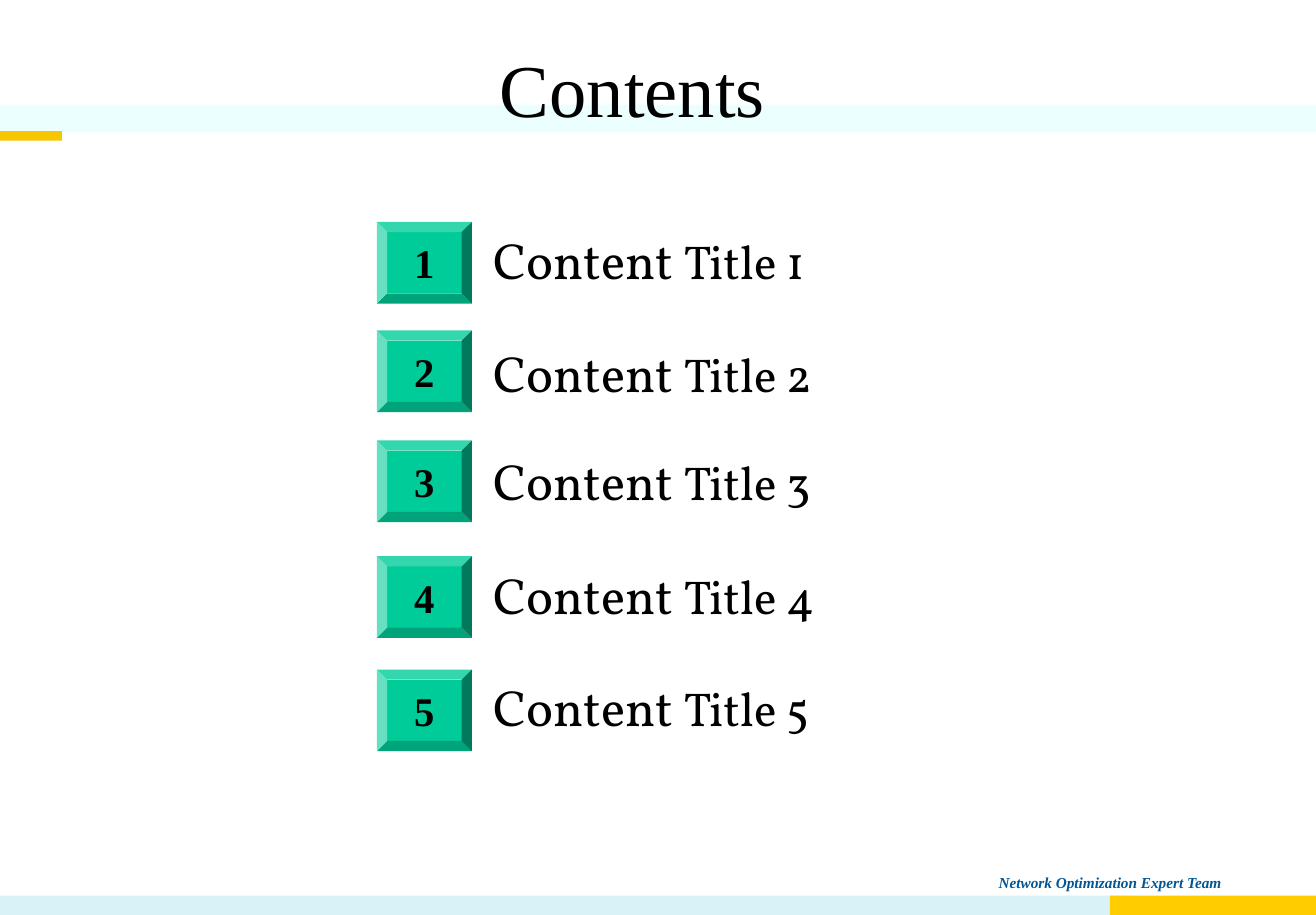
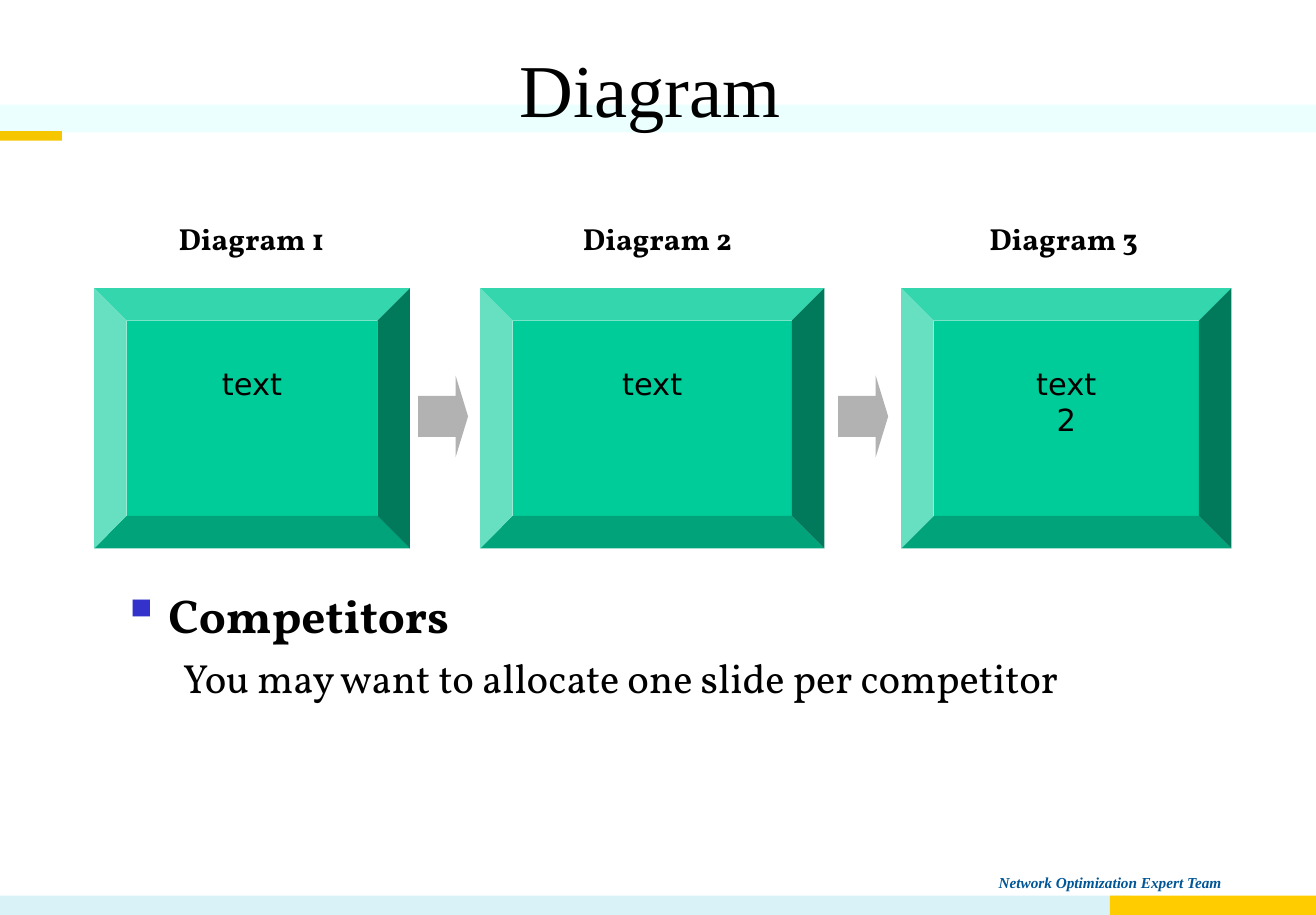
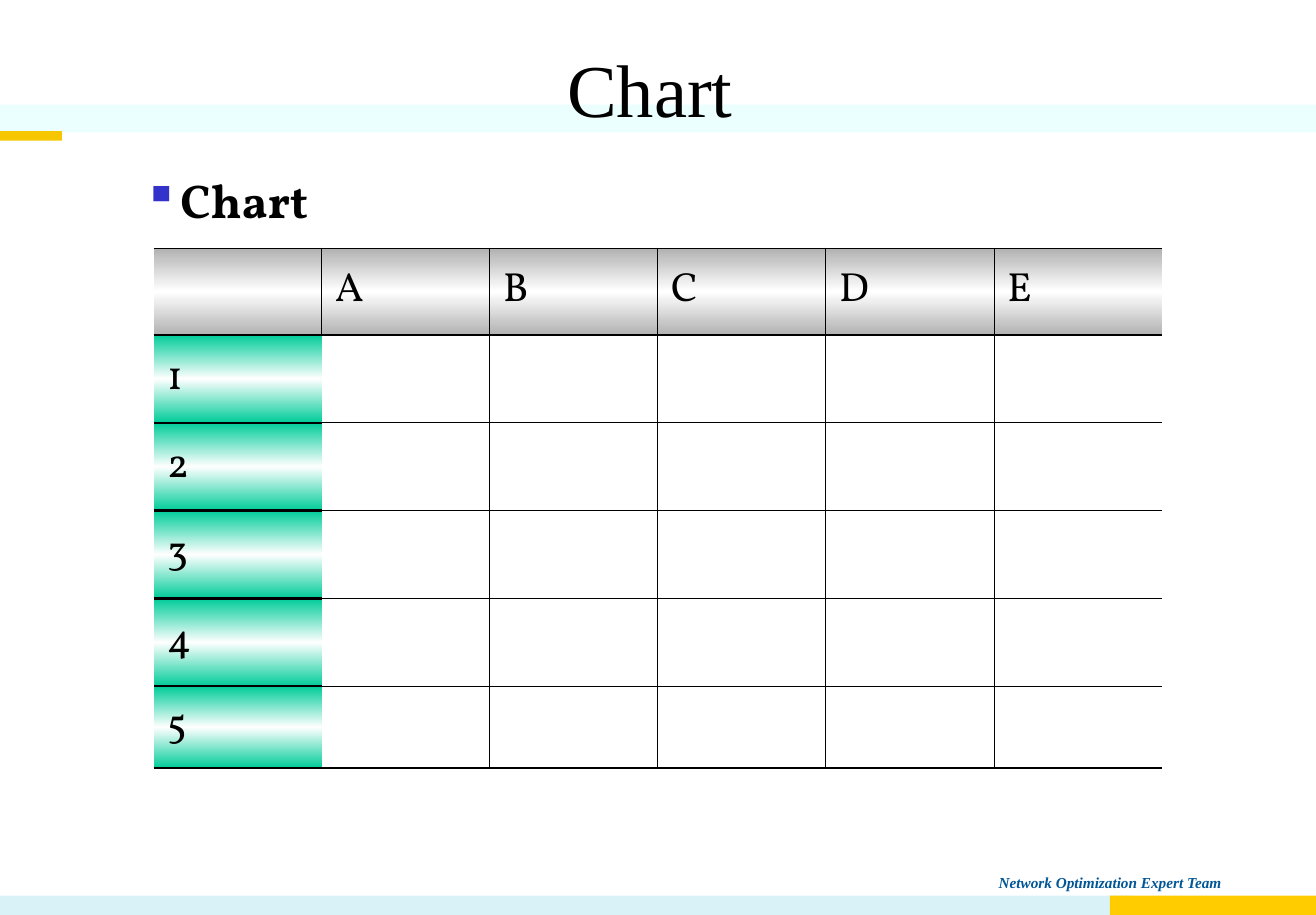
from lxml.etree import SubElement as Sub
from pptx import Presentation as Deck
from pptx.dml.color import RGBColor as Rgb
from pptx.enum.shapes import MSO_SHAPE as Kind
from pptx.enum.text import MSO_ANCHOR as Anchor, PP_ALIGN as Align
from pptx.oxml.ns import qn
from pptx.util import Cm, Pt

HUES = {
    "ink": "000000", "band": "EBFFFF", "foot": "D9F2F7", "gold": "FFCC00",
    "tab": "F6C700", "navy": "005696", "green": "00CC99", "gray": "B2B2B2",
    "white": "FFFFFF", "dot": "3333CC",
}
SERIF, BODY, SANS = "Times New Roman", "Vollkorn", "DejaVu Sans"
WIDE, HIGH = 27.41, 19.05


class Pen:
    """Hold the deck style and draw each kind of element on the current slide."""

    def __init__(self):
        self.deck = Deck()
        self.deck.slide_width, self.deck.slide_height = Cm(WIDE), Cm(HIGH)
        self.slide = None

    def page(self, title, left=1.04, width=25):
        self.slide = self.deck.slides.add_slide(self.deck.slide_layouts[6])
        foot = self.text(20.55, 18.06, 6.86, 0.64)
        self.label(foot.paragraphs[0], "Network Optimization Expert Team", 9,
                   SERIF, bold=True, italic=True, hue="navy")
        self.shape(Kind.RECTANGLE, 0, 2.18, WIDE, 0.58, "band")
        self.shape(Kind.RECTANGLE, 0, 18.65, 23.55, 0.4, "foot")
        self.shape(Kind.RECTANGLE, 23.12, 18.65, 4.29, 0.4, "gold")
        self.shape(Kind.RECTANGLE, 0, 2.73, 1.29, 0.2, "tab")
        head = self.text(left, 0.76, width, 1.7)
        self.label(head.paragraphs[0], title, 44, SERIF, align=Align.CENTER)

    def text(self, left, top, width, height, anchor=Anchor.TOP):
        box = self.slide.shapes.add_textbox(Cm(left), Cm(top), Cm(width), Cm(height))
        frame = box.text_frame
        frame.word_wrap = True
        frame.vertical_anchor = anchor
        return frame

    def shape(self, kind, left, top, width, height, hue):
        item = self.slide.shapes.add_shape(kind, Cm(left), Cm(top), Cm(width), Cm(height))
        item.shadow.inherit = False
        item.fill.solid()
        item.fill.fore_color.rgb = Rgb.from_string(HUES[hue])
        item.line.fill.background()
        return item

    def bevel(self, left, top, width, height):
        return self.shape(Kind.BEVEL, left, top, width, height, "green").text_frame

    def arrow(self, left, top, width, height):
        item = self.shape(Kind.RIGHT_ARROW, left, top, width, height, "gray")
        item.adjustments[0], item.adjustments[1] = 0.5, 0.25

    def label(self, para, words, size, face, bold=False, italic=False,
              hue="ink", align=Align.LEFT):
        para.alignment = align
        font = para.font
        font.name, font.size, font.bold, font.italic = face, Pt(size), bold, italic
        font.color.rgb = Rgb.from_string(HUES[hue])
        para.add_run().text = words

    def bullet(self, para, indent, scale=100):
        props = para._p.get_or_add_pPr()
        props.set("marL", str(Cm(indent)))
        props.set("indent", str(-Cm(indent)))
        self.paint(Sub(props, qn("a:buClr")), "dot")
        Sub(props, qn("a:buSzPct"), val=str(scale * 1000))
        Sub(props, qn("a:buChar"), char="▪")

    def paint(self, node, hue):
        Sub(node, qn("a:srgbClr"), val=HUES[hue])

    def edge(self, cell, side, width):
        props = cell._tc.get_or_add_tcPr()
        line = Sub(props, qn("a:ln" + side), w=str(Pt(width)))
        if width:
            self.paint(Sub(line, qn("a:solidFill")), "ink")
        else:
            Sub(line, qn("a:noFill"))

    def blend(self, cell, hue):
        fill = Sub(cell._tc.get_or_add_tcPr(), qn("a:gradFill"), rotWithShape="1")
        stops = Sub(fill, qn("a:gsLst"))
        for pos, tone in ((0, hue), (50, "white"), (100, hue)):
            self.paint(Sub(stops, qn("a:gs"), pos=str(pos * 1000)), tone)
        Sub(fill, qn("a:lin"), ang="5400000", scaled="0")

    def grid(self, left, top, wide, highs, heads, sides):
        rows, cols = len(highs), len(heads)
        table = self.slide.shapes.add_table(
            rows, cols, Cm(left), Cm(top), Cm(wide * cols), Cm(sum(highs))).table
        table.first_row = table.horz_banding = False
        for col in table.columns:
            col.width = Cm(wide)
        for row, high in zip(table.rows, highs):
            row.height = Cm(high)

        def upright(r, c):
            return 0 if c in (0, cols) or (c == 1 and r) else 0.45

        def level(r, c):
            if r in (0, 1, rows):
                return 1.08
            return 0.45 if c else 1.47

        for r in range(rows):
            for c in range(cols):
                cell = table.cell(r, c)
                cell.margin_left = cell.margin_right = Cm(0.28)
                cell.vertical_anchor = Anchor.MIDDLE
                self.edge(cell, "L", upright(r, c))
                self.edge(cell, "R", upright(r, c + 1))
                self.edge(cell, "T", level(r, c))
                self.edge(cell, "B", level(r + 1, c))
                if r and c:
                    cell.fill.background()
                    continue
                self.blend(cell, "green" if r else "gray")
                words = sides[r - 1] if r else heads[c]
                if words:
                    self.label(cell.text_frame.paragraphs[0], words, 24, BODY)


def contents(pen):
    pen.page("Contents", 1.4, 23.55)
    tops = ((4.62, 4.67), (6.88, 7.01), (9.17, 9.27), (11.58, 11.63), (13.94, 13.97))
    for num, (key, top) in enumerate(tops, 1):
        frame = pen.bevel(7.85, key, 1.98, 1.7)
        pen.label(frame.paragraphs[0], str(num), 24, SERIF, bold=True, align=Align.CENTER)
        para = pen.text(10.03, top, 16, 1.47, Anchor.MIDDLE).paragraphs[0]
        pen.label(para, "Content ", 28, BODY)
        para.runs[0].font.size = Pt(30)
        para.add_run().text = f"Title {num}"


def diagram(pen):
    pen.page("Diagram")
    boxes = ((1.96, 6.58, ["text"]), (10, 7.17, ["text"]), (18.77, 6.88, ["text", "2"]))
    for num, (left, width, lines) in enumerate(boxes):
        name = pen.text(1.35 + 8.46 * num, 4.45, 7.77, 1.02)
        pen.label(name.paragraphs[0], f"Diagram {num + 1}", 18, BODY,
                  bold=True, align=Align.CENTER)
        frame = pen.bevel(left, 6, width, 5.42)
        frame.vertical_anchor = Anchor.TOP
        frame.margin_top = Cm(0.92)
        for i, line in enumerate(lines):
            para = frame.add_paragraph() if i else frame.paragraphs[0]
            pen.label(para, line, 18, SANS, align=Align.CENTER)
    for left in (8.71, 17.46):
        pen.arrow(left, 7.82, 1.04, 1.7)
    frame = pen.text(2.29, 12.07, 23.06, 5.28)
    head = frame.paragraphs[0]
    pen.bullet(head, 0.97, 110)
    pen.label(head, "Competitors", 28, BODY, bold=True)
    note = frame.add_paragraph()
    note._p.get_or_add_pPr().set("marL", str(Cm(1.27)))
    note.space_before = Pt(6)
    pen.label(note, "You may want to allocate one slide per competitor", 24, BODY)


def chart(pen):
    pen.page("Chart")
    head = pen.text(2.74, 3.43, 10.74, 1.45).paragraphs[0]
    pen.bullet(head, 0.77)
    pen.label(head, "Chart", 28, BODY, bold=True)
    pen.grid(3.2, 5.17, 3.5, [1.8] + [1.83] * 4 + [1.7], ["", *"ABCDE"], "12345")


def main():
    pen = Pen()
    for draw in (contents, diagram, chart):
        draw(pen)
    pen.deck.save("out.pptx")


if __name__ == "__main__":
    main()
